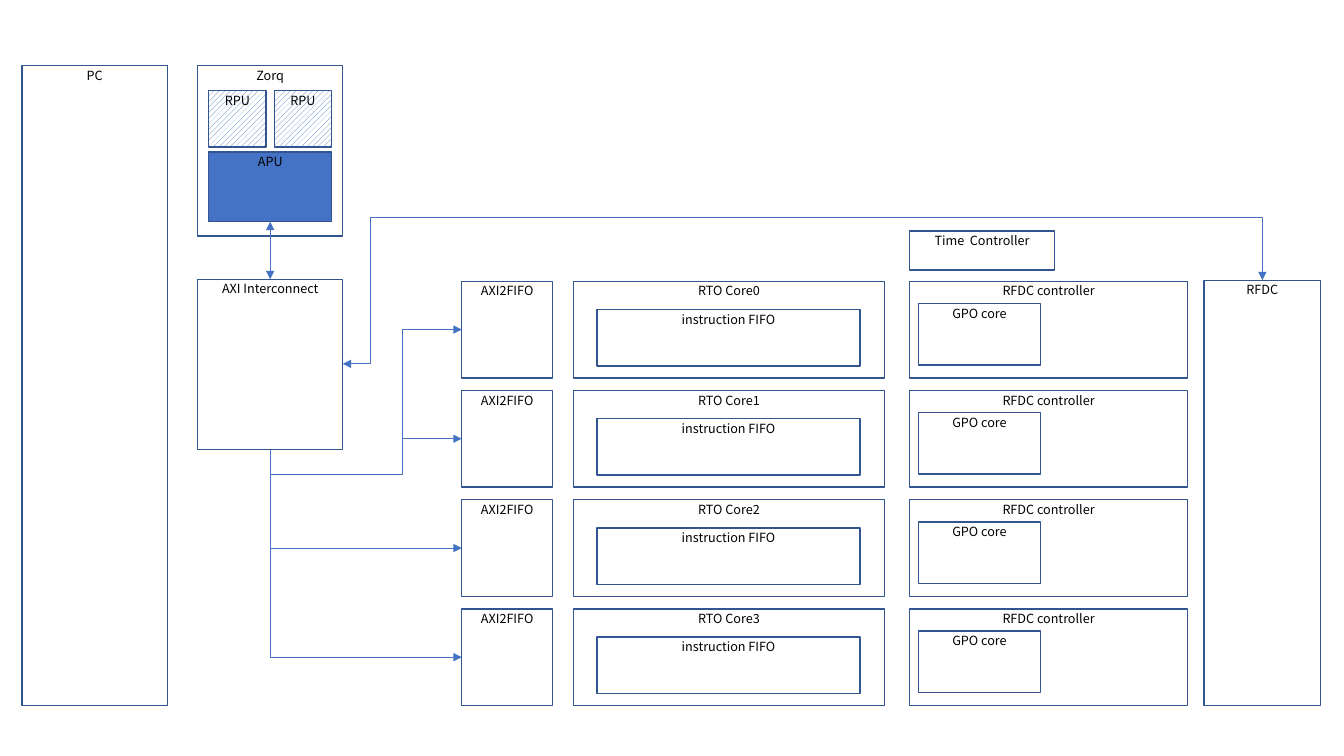
from lxml import etree
from pptx import Presentation
from pptx.dml.color import RGBColor
from pptx.enum.dml import MSO_PATTERN
from pptx.enum.shapes import MSO_CONNECTOR, MSO_SHAPE
from pptx.enum.text import MSO_ANCHOR, PP_ALIGN
from pptx.oxml.ns import qn
from pptx.util import Inches, Pt

NAVY = RGBColor(0x32, 0x54, 0x91)
BLUE = RGBColor(0x44, 0x72, 0xC4)
WHITE = RGBColor(0xFF, 0xFF, 0xFF)
BLACK = RGBColor(0x00, 0x00, 0x00)
FONT = "Noto Sans CJK KR"

# Columns (left edges) and shared sizes, in inches
PC_X, CPU_X, FIFO_X, CORE_X, CTRL_X, RFDC_X = 0.22, 1.96, 4.58, 5.69, 9.02, 11.94
UNIT_W, CPU_H = 1.44, 1.69
TOP, BOTTOM = 0.65, 7.0
AXI_Y = 2.77
# Four equal rows, the last one ending at BOTTOM
ROW_TOP, ROW_H, ROWS = 2.79, 0.96, 4
PITCH = (BOTTOM - ROW_H - ROW_TOP) / (ROWS - 1)
row_tops = [ROW_TOP + i * PITCH for i in range(ROWS)]

prs = Presentation()
prs.slide_width, prs.slide_height = Inches(13.33), Inches(7.5)
slide = prs.slides.add_slide(prs.slide_layouts[6])


def add_box(shapes, label, x, y, w, h):
    """Add an unfilled, outlined block with its label at the top."""
    sp = shapes.add_shape(MSO_SHAPE.RECTANGLE, Inches(x), Inches(y), Inches(w), Inches(h))
    sp.shadow.inherit = False
    sp.fill.background()
    sp.line.color.rgb = NAVY
    sp.line.width = Pt(1)
    tf = sp.text_frame
    tf.text = label
    tf.word_wrap = True
    tf.vertical_anchor = MSO_ANCHOR.TOP
    tf.margin_top = tf.margin_bottom = Inches(0.02)
    tf.margin_left = tf.margin_right = 0
    p = tf.paragraphs[0]
    p.alignment = PP_ALIGN.CENTER
    font = p.runs[0].font
    font.name, font.size, font.color.rgb = FONT, Pt(9), BLACK
    etree.SubElement(p.runs[0].font._element, qn("a:ea"), typeface=FONT)
    return sp


def add_arrow(start, end, preset="line", adjust=(), rot=0, flips="", two_way=False):
    """Add an arrow; a quarter-turned one has its frame swapped about its centre."""
    (x1, y1), (x2, y2) = start, end
    w, h = abs(x2 - x1), abs(y2 - y1)
    if rot:
        w, h = h, w
    kind = MSO_CONNECTOR.STRAIGHT if preset == "line" else MSO_CONNECTOR.ELBOW
    cxn = slide.shapes.add_connector(kind, 0, 0, 0, 0)
    cxn.left, cxn.top = Inches((x1 + x2 - w) / 2), Inches((y1 + y2 - h) / 2)
    cxn.width, cxn.height = Inches(w), Inches(h)
    cxn.line.color.rgb = BLUE
    cxn.line.width = Pt(0.5)
    sp_pr = cxn._element.spPr
    xfrm = sp_pr.find(qn("a:xfrm"))
    xfrm.set("rot", str(rot * 60000))
    for axis in flips:
        xfrm.set("flip" + axis.upper(), "1")
    geom = sp_pr.find(qn("a:prstGeom"))
    geom.set("prst", preset)
    for old in list(geom):
        geom.remove(old)
    guides = etree.SubElement(geom, qn("a:avLst"))
    for n, share in enumerate(adjust, 1):
        etree.SubElement(guides, qn("a:gd"), name=f"adj{n}", fmla=f"val {round(share * 100000)}")
    ln = sp_pr.find(qn("a:ln"))
    if two_way:
        etree.SubElement(ln, qn("a:headEnd"), type="triangle")
    etree.SubElement(ln, qn("a:tailEnd"), type="triangle")
    etree.SubElement(sp_pr, qn("a:effectLst"))


# Stand-alone blocks
for block in (
    ("RFDC", RFDC_X, 2.78, 1.16, 4.22),
    ("AXI Interconnect", CPU_X, AXI_Y, UNIT_W, CPU_H),
    ("Time  Controller", CTRL_X, 2.29, UNIT_W, 0.39),
    ("PC", PC_X, TOP, UNIT_W, BOTTOM - TOP),
):
    add_box(slide.shapes, *block)

# Processor block with its units
cpu = slide.shapes.add_group_shape().shapes
add_box(cpu, "Zorq", CPU_X, TOP, UNIT_W, CPU_H)
apu = add_box(cpu, "APU", 2.07, 1.51, 1.22, 0.69)
apu.fill.solid()
apu.fill.fore_color.rgb = BLUE
for x in (2.72, 2.07):
    rpu = add_box(cpu, "RPU", x, 0.9, 0.57, 0.56)
    rpu.fill.patterned()
    rpu.fill.pattern = MSO_PATTERN.WIDE_UPWARD_DIAGONAL
    rpu.fill.fore_color.rgb = BLUE
    rpu.fill.back_color.rgb = WHITE

# One channel per row: FIFO bridge, core, controller
for i, y in enumerate(row_tops):
    add_box(slide.shapes, "AXI2FIFO", FIFO_X, y, 0.9, ROW_H)
    core = slide.shapes.add_group_shape().shapes
    add_box(core, f"RTO Core{i}", CORE_X, y, 3.08, ROW_H)
    add_box(core, "instruction FIFO", CORE_X + 0.23, y + 0.28, 2.61, 0.56)
    ctrl = slide.shapes.add_group_shape().shapes
    add_box(ctrl, "GPO core", CTRL_X + 0.09, y + 0.22, 1.21, 0.61)
    add_box(ctrl, "RFDC controller", CTRL_X, y, 2.76, ROW_H)

# Links between processor, interconnect and RFDC
axi_mid_x = CPU_X + UNIT_W / 2
add_arrow((axi_mid_x, 2.2), (axi_mid_x, AXI_Y), two_way=True)
add_arrow((CPU_X + UNIT_W, 3.61), (RFDC_X + 0.58, 2.78), "bentConnector4",
          (0.03, 1.75), flips="v", two_way=True)

# Interconnect to each FIFO: upper rows first drop below it, lower rows turn once
DROP = 0.25
axi_out = (axi_mid_x, AXI_Y + CPU_H)
for y in row_tops:
    fifo_in = (FIFO_X, y + ROW_H / 2)
    rise = axi_out[1] - fifo_in[1]
    if rise > 0:
        add_arrow(axi_out, fifo_in, "bentConnector4", (-DROP / rise, 0.69), 90, "hv")
    else:
        add_arrow(axi_out, fifo_in, "bentConnector2", rot=270, flips="h")

prs.save("out.pptx")
